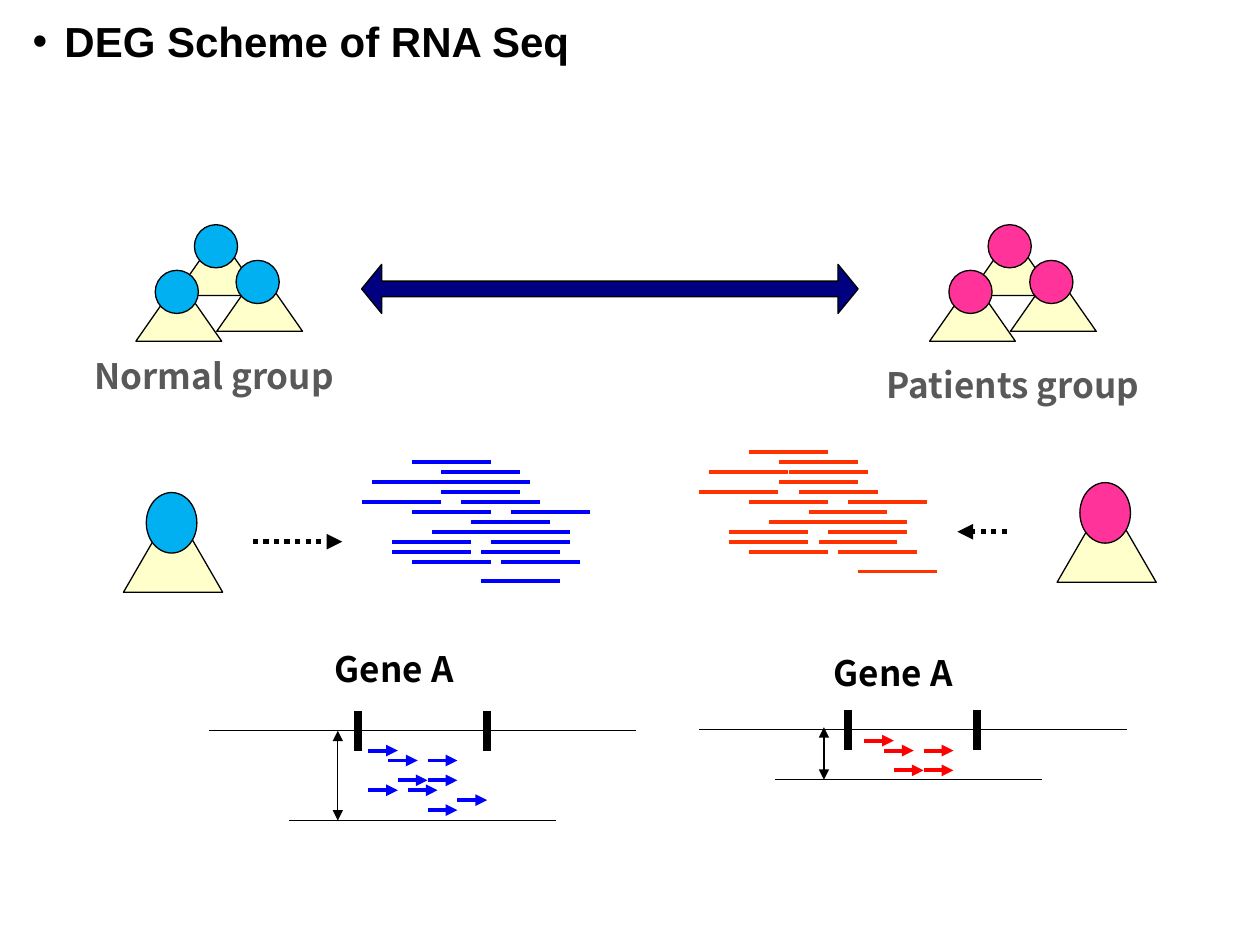
from dataclasses import dataclass

from lxml import etree
from pptx import Presentation
from pptx.dml.color import RGBColor
from pptx.enum.dml import MSO_LINE
from pptx.enum.shapes import MSO_CONNECTOR, MSO_SHAPE
from pptx.oxml.ns import qn
from pptx.util import Cm, Pt


@dataclass(frozen=True)
class Theme:
    black: str = "000000"
    grey: str = "595959"
    navy: str = "000080"
    body: str = "FFFFCC"
    normal_head: str = "00B0F0"
    patient_head: str = "FF3399"
    normal_read: str = "0000FF"
    patient_read: str = "FF3300"
    patient_mapped: str = "FF0000"
    title_font: str = "Arial"
    label_font: str = "Noto Sans CJK KR"
    title_size: float = 24
    label_size: float = 20
    hairline: float = 0.75
    read_line: float = 2.25
    dotted_line: float = 3
    exon_line: float = 4.5


THEME = Theme()
STEP = 0.2
READ_LENGTH = 1.59
MAPPED_LENGTH = 0.6
SMALL_PERSON = {"body": (1.73, 1.24), "head": (0.87, 0.87), "offset": (0.39, -0.19)}
LARGE_PERSON = {"body": (2.0, 1.73), "head": (1.02, 1.22), "offset": (0.46, -0.28)}
GROUP_SPOTS = [(3.53, 4.72), (2.74, 5.64), (4.37, 5.44)]
SHARED_READS = [
    (5, 0), (8, 3), (8, 1), (9, 2), (5, 5), (10, 4), (11, 6), (0, 4), (7, 7),
    (1, 2), (3, 9), (12, 9), (14, 10), (13, 7), (13, 8), (5, 10), (3, 8), (15, 5),
]
SHARED_MAPPED = [(0, 0), (2, 1), (3, 3), (6, 3), (6, 1)]
NORMAL_MAPPED = SHARED_MAPPED + [(6, 6), (4, 4), (0, 4), (9, 5)]


class SlideBuilder:
    def __init__(self, slide, theme):
        self.slide = slide
        self.theme = theme

    def text(self, words, box, font_name, size, color, bullet=False):
        frame = self.slide.shapes.add_textbox(*map(Cm, box)).text_frame
        frame.word_wrap = True
        paragraph = frame.paragraphs[0]
        if bullet:
            properties = paragraph._p.get_or_add_pPr()
            properties.set("marL", str(Cm(0.64)))
            properties.set("indent", str(Cm(-0.64)))
            etree.SubElement(properties, qn("a:buFont")).set("typeface", font_name)
            etree.SubElement(properties, qn("a:buChar")).set("char", "•")
            paragraph.line_spacing = 0.9
        else:
            frame.margin_top = 0
        run = paragraph.add_run()
        run.text = words
        for name, value in {"name": font_name, "size": Pt(size), "bold": True}.items():
            setattr(run.font, name, value)
        run.font.color.rgb = RGBColor.from_string(color)

    def label(self, words, box, color):
        self.text(words, box, self.theme.label_font, self.theme.label_size, color)

    def shape(self, kind, box, fill, parent=None):
        shapes = (parent or self.slide).shapes
        drawn = shapes.add_shape(kind, *map(Cm, box))
        drawn.shadow.inherit = False
        drawn.fill.solid()
        drawn.fill.fore_color.rgb = RGBColor.from_string(fill)
        drawn.line.color.rgb = RGBColor.from_string(self.theme.black)
        drawn.line.width = Pt(self.theme.hairline)
        return drawn

    def line(self, start, end, color, width, head=False, tail=False, dash=None):
        connector = self.slide.shapes.add_connector(
            MSO_CONNECTOR.STRAIGHT, *map(Cm, (*start, *end)))
        stroke = connector.line
        stroke.color.rgb = RGBColor.from_string(color)
        for name, value in {"width": Pt(width), "dash_style": dash}.items():
            setattr(stroke, name, value)
        outline = stroke._get_or_add_ln()
        for tag, wanted in {"a:headEnd": head, "a:tailEnd": tail}.items():
            if wanted:
                etree.SubElement(outline, qn(tag)).set("type", "triangle")
        etree.SubElement(connector._element.spPr, qn("a:effectLst"))

    def person(self, x, y, build, head_color):
        group = self.slide.shapes.add_group_shape()
        dx, dy = build["offset"]
        self.shape(MSO_SHAPE.ISOSCELES_TRIANGLE, (x, y, *build["body"]),
                   self.theme.body, group)
        self.shape(MSO_SHAPE.OVAL, (x + dx, y + dy, *build["head"]), head_color, group)

    def segments(self, x, y, cells, length, color, tail=False):
        for column, row in cells:
            left, level = x + column * STEP, y + row * STEP
            self.line((left, level), (left + length, level), color,
                      self.theme.read_line, tail=tail)

    def gene(self, x, y, label_box, depth_x, depth_top, depth_bottom):
        black, thin = self.theme.black, self.theme.hairline
        self.line((x, y), (x + 8.61, y), black, thin)
        for exon_x in (x + 2.99, x + 5.6):
            self.line((exon_x, y - 0.4), (exon_x, y + 0.4), black, self.theme.exon_line)
        self.label("Gene A", label_box, black)
        self.line((depth_x, depth_top), (depth_x, depth_bottom), black, thin,
                  head=True, tail=True)
        self.line((depth_x + 4.39, depth_bottom), (depth_x - 0.99, depth_bottom),
                  black, thin)


def main():
    presentation = Presentation()
    presentation.slide_width, presentation.slide_height = Cm(25.4), Cm(19.05)
    slide = presentation.slides.add_slide(presentation.slide_layouts[6])
    builder = SlideBuilder(slide, THEME)

    builder.text("DEG Scheme of RNA Seq", (0.41, 0.3, 20.85, 1.45),
                 THEME.title_font, THEME.title_size, THEME.black, bullet=True)
    builder.label("Normal group", (1.65, 7.14, 5.61, 1.12), THEME.grey)
    builder.label("Patients group", (17.63, 7.32, 5.99, 1.12), THEME.grey)

    comparison = builder.shape(MSO_SHAPE.LEFT_RIGHT_ARROW, (7.29, 5.33, 10.01, 0.99),
                               THEME.navy)
    comparison.adjustments[0] = 0.316
    comparison.adjustments[1] = 0.41

    for start, end in [((5.1, 10.92), (6.9, 10.92)), ((20.3, 10.72), (19.3, 10.72))]:
        builder.line(start, end, THEME.black, THEME.dotted_line, tail=True,
                     dash=MSO_LINE.ROUND_DOT)

    builder.segments(7.3, 9.32, SHARED_READS + [(12, 12)], READ_LENGTH,
                     THEME.normal_read)
    builder.segments(14.1, 9.12, SHARED_READS + [(16, 12)], READ_LENGTH,
                     THEME.patient_read)
    builder.segments(7.42, 15.13, NORMAL_MAPPED, MAPPED_LENGTH,
                     THEME.normal_read, tail=True)
    builder.segments(17.42, 14.93, SHARED_MAPPED, MAPPED_LENGTH,
                     THEME.patient_mapped, tail=True)

    builder.gene(4.22, 14.73, (6.5, 13.06, 3.4, 1.12), 6.81, 14.73, 16.54)
    builder.gene(14.1, 14.71, (16.56, 13.13, 3.4, 1.12), 16.61, 14.66, 15.72)

    for shift, color in [(16, THEME.patient_head), (0, THEME.normal_head)]:
        for x, y in GROUP_SPOTS:
            builder.person(x + shift, y, SMALL_PERSON, color)
    builder.person(21.31, 10.01, LARGE_PERSON, THEME.patient_head)
    builder.person(2.49, 10.21, LARGE_PERSON, THEME.normal_head)

    presentation.save("out.pptx")


if __name__ == "__main__":
    main()
